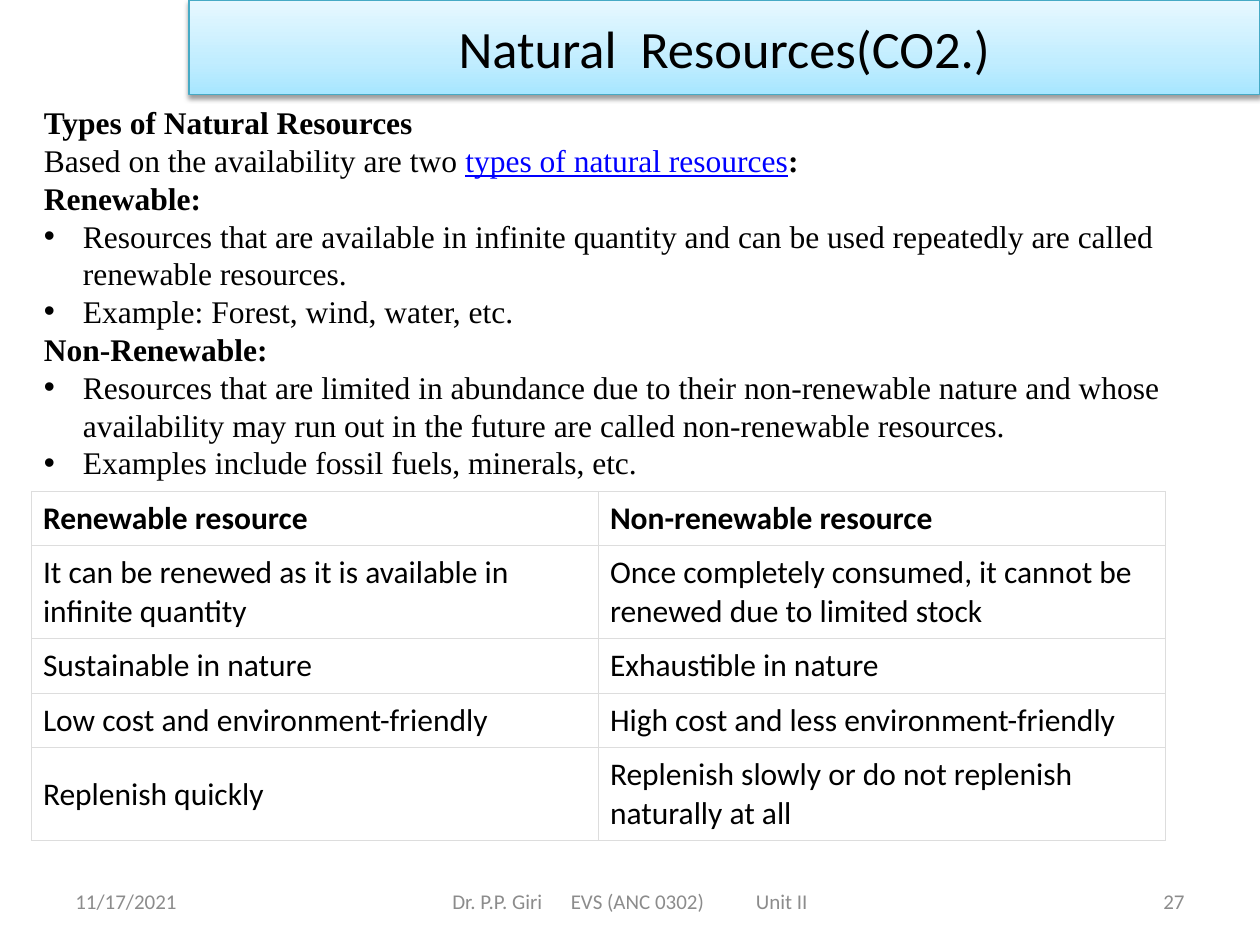
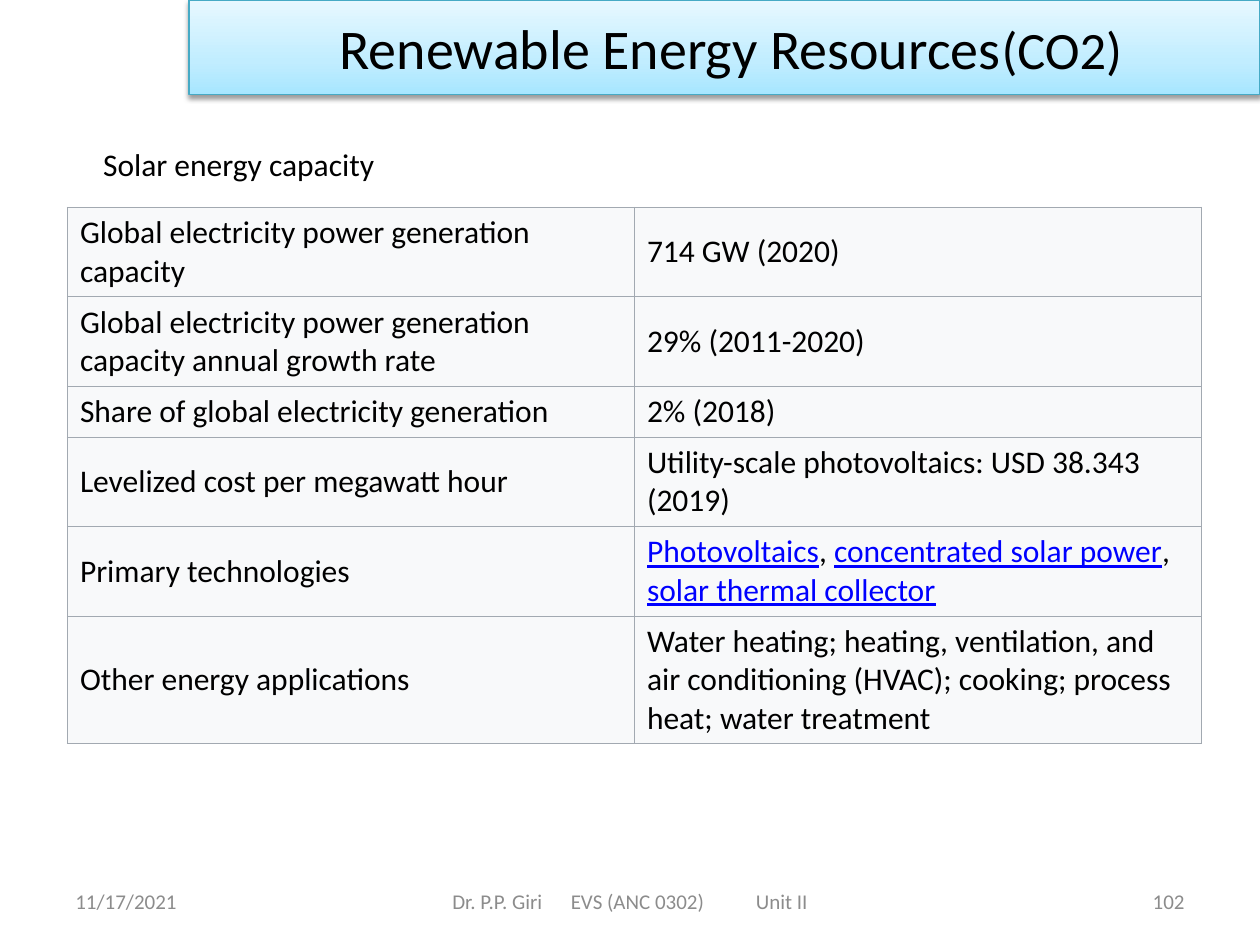
from copy import deepcopy

from lxml.etree import SubElement
from pptx import Presentation
from pptx.dml.color import RGBColor
from pptx.enum.shapes import MSO_SHAPE
from pptx.enum.text import MSO_ANCHOR, PP_ALIGN
from pptx.oxml.ns import qn
from pptx.util import Inches, Pt

SLIDE_WIDTH, SLIDE_HEIGHT = Inches(10), Inches(7.5)
COLORS = {
    "text": "000000",
    "link": "0000FF",
    "footer": "8C8C8C",
    "band_edge": "46AAC5",
    "band_bottom": "A7E6FF",
    "band_middle": "C1EDFF",
    "band_top": "E7F8FF",
    "white": "FFFFFF",
    "light_rule": "DDDDDD",
    "pale": "F8F9FA",
    "grey_rule": "A2A9B1",
}
SANS, SERIF = "Calibri", "Times New Roman"
BODY_SIZE, FOOTER_SIZE = 18, 12
LINE_HEIGHT = 21.96  # points, one line of table text
BULLET_INDENT = Inches(0.31)
FOOTER_TOP, FOOTER_HEIGHT = 92.67, 5.33

TYPES_OF_RESOURCES = [
    (False, [("Types of Natural Resources", "bold")]),
    (False, [("Based on the availability are two ", "plain"),
             ("types of natural resources", "link"), (":", "bold")]),
    (False, [("Renewable:", "bold")]),
    (True, [("Resources that are available in infinite quantity and can be used "
             "repeatedly are called renewable resources.", "plain")]),
    (True, [("Example: Forest, wind, water, etc.", "plain")]),
    (False, [("Non-Renewable:", "bold")]),
    (True, [("Resources that are limited in abundance due to their non-renewable "
             "nature and whose availability may run out in the future are called "
             "non-renewable resources.", "plain")]),
    (True, [("Examples include fossil fuels, minerals, etc.", "plain")]),
]

# Each row: number of text lines, left cell, right cell
RESOURCE_COMPARISON = [
    (1, [("Renewable resource", "bold")], [("Non-renewable resource", "bold")]),
    (2, "It can be renewed as it is available in infinite quantity",
     "Once completely consumed, it cannot be renewed due to limited stock"),
    (1, "Sustainable in nature", "Exhaustible in nature"),
    (1, "Low cost and environment-friendly", "High cost and less environment-friendly"),
    (2, "Replenish quickly", "Replenish slowly or do not replenish naturally at all"),
]

# The commas between technologies are followed by no-break spaces
SOLAR_CAPACITY = [
    (2, "Global electricity power generation capacity", "714 GW (2020)"),
    (2, "Global electricity power generation capacity annual growth rate",
     "29% (2011-2020)"),
    (1, "Share of global electricity generation", "2% (2018)"),
    (2, "Levelized cost per megawatt hour",
     "Utility-scale photovoltaics: USD 38.343 (2019)"),
    (2, "Primary technologies",
     [("Photovoltaics", "link"), (", ", "plain"),
      ("concentrated solar power", "link"), (", ", "plain"),
      ("solar thermal collector", "link")]),
    (3, "Other energy applications",
     "Water heating; heating, ventilation, and air conditioning (HVAC); cooking; "
     "process heat; water treatment"),
]


def rgb(name):
    return RGBColor.from_string(COLORS[name])


def area(left, top, width, height):
    """Turn percentages of the slide into lengths."""
    return (int(SLIDE_WIDTH * left / 100), int(SLIDE_HEIGHT * top / 100),
            int(SLIDE_WIDTH * width / 100), int(SLIDE_HEIGHT * height / 100))


def write(paragraph, content, size=BODY_SIZE, face=SANS, color="text"):
    """Fill a paragraph from a string or from (words, style) pairs."""
    pieces = [(content, "plain")] if isinstance(content, str) else content
    for words, style in pieces:
        run = paragraph.add_run()
        run.text = words
        run.font.name, run.font.size = face, Pt(size)
        run.font.bold = style == "bold"
        run.font.underline = style == "link"
        run.font.color.rgb = rgb("link" if style == "link" else color)


def add_text_frame(slide, place, anchor=MSO_ANCHOR.TOP):
    frame = slide.shapes.add_textbox(*area(*place)).text_frame
    frame.word_wrap = True
    frame.vertical_anchor = anchor
    return frame


def add_bullet(paragraph):
    properties = paragraph._p.get_or_add_pPr()
    properties.set("marL", str(BULLET_INDENT))
    properties.set("indent", str(-BULLET_INDENT))
    SubElement(properties, qn("a:buFont"), typeface="Arial")
    SubElement(properties, qn("a:buChar"), char="•")


def add_title_band(slide, title_parts):
    """Draw the gradient band; title_parts are (words, size) pairs."""
    band = slide.shapes.add_shape(MSO_SHAPE.RECTANGLE, *area(15, 0, 85, 10))
    band.line.color.rgb = rgb("band_edge")
    band.line.width = Pt(0.75)

    band.fill.gradient()
    band.fill.gradient_angle = 90
    stop_list = band._element.spPr.find(".//" + qn("a:gsLst"))
    stop_list.append(deepcopy(stop_list[0]))
    shades = (("band_bottom", 0), ("band_middle", 0.35), ("band_top", 1))
    for stop, (shade, position) in zip(band.fill.gradient_stops, shades):
        stop.color.rgb = rgb(shade)
        stop.position = position

    band.shadow.inherit = False
    effects = band._element.spPr.find(qn("a:effectLst"))
    shadow = SubElement(effects, qn("a:outerShdw"), blurRad=str(Pt(3.1)),
                        dist=str(Pt(1.6)), dir="5400000", rotWithShape="0")
    shadow_color = SubElement(shadow, qn("a:srgbClr"), val=COLORS["text"])
    SubElement(shadow_color, qn("a:alpha"), val="38000")

    band.text_frame.vertical_anchor = MSO_ANCHOR.MIDDLE
    heading = band.text_frame.paragraphs[0]
    heading.alignment = PP_ALIGN.CENTER
    for words, size in title_parts:
        write(heading, words, size)


def add_footer(slide, number):
    for left, label, alignment in ((5, "11/17/2021", PP_ALIGN.LEFT),
                                   (71.7, number, PP_ALIGN.RIGHT)):
        frame = add_text_frame(slide, (left, FOOTER_TOP, 23.3, FOOTER_HEIGHT),
                               MSO_ANCHOR.MIDDLE)
        frame.paragraphs[0].alignment = alignment
        write(frame.paragraphs[0], label, FOOTER_SIZE, color="footer")

    course = add_text_frame(slide, (34.2, FOOTER_TOP, 31.7, FOOTER_HEIGHT),
                            MSO_ANCHOR.MIDDLE)
    course.margin_left = Inches(0.17)
    line = course.paragraphs[0]
    tabs = SubElement(line._p.get_or_add_pPr(), qn("a:tabLst"))
    for stop in (0.94, 2.41):
        SubElement(tabs, qn("a:tab"), pos=str(Inches(stop)), algn="l")
    write(line, "Dr. P.P. Giri\tEVS (ANC 0302)\tUnit II", FOOTER_SIZE, color="footer")


def add_borders(cell, color):
    properties = cell._tc.get_or_add_tcPr()
    for side in ("lnL", "lnR", "lnT", "lnB"):
        edge = SubElement(properties, qn("a:" + side), w=str(Pt(0.6)))
        fill = SubElement(edge, qn("a:solidFill"))
        SubElement(fill, qn("a:srgbClr"), val=COLORS[color])


def add_two_column_table(slide, rows, left, top, fill, rule, side_margin, end_margin):
    """Add a table whose row heights follow the line counts; margins in points."""
    heights = [Pt(2 * end_margin + lines * LINE_HEIGHT) for lines, *_ in rows]
    x, y, width, _ = area(left, top, 90, 0)
    table = slide.shapes.add_table(len(rows), 2, x, y, width, sum(heights)).table
    table.first_row = table.horz_banding = False
    for row, height, (_, *contents) in zip(table.rows, heights, rows):
        row.height = height
        for cell, content in zip(row.cells, contents):
            add_borders(cell, rule)
            cell.fill.solid()
            cell.fill.fore_color.rgb = rgb(fill)
            cell.vertical_anchor = MSO_ANCHOR.MIDDLE
            cell.margin_left = cell.margin_right = Pt(side_margin)
            cell.margin_top = cell.margin_bottom = Pt(end_margin)
            write(cell.text_frame.paragraphs[0], content)


def add_resource_types(slide):
    frame = add_text_frame(slide, (2.5, 10.27, 95, 41.73))
    for index, (bulleted, pieces) in enumerate(TYPES_OF_RESOURCES):
        paragraph = frame.add_paragraph() if index else frame.paragraphs[0]
        if bulleted:
            add_bullet(paragraph)
        write(paragraph, pieces, face=SERIF)


def new_slide(deck, title_parts, number):
    slide = deck.slides.add_slide(deck.slide_layouts[6])
    add_title_band(slide, title_parts)
    add_footer(slide, number)
    return slide


def main():
    deck = Presentation()
    deck.slide_width, deck.slide_height = SLIDE_WIDTH, SLIDE_HEIGHT

    resources = new_slide(deck, [("Natural  Resources(CO2.)", 30)], "27")
    add_resource_types(resources)
    add_two_column_table(resources, RESOURCE_COMPARISON, 2.5, 52,
                         "white", "light_rule", 6.6, 4.6)

    solar = new_slide(deck, [(" Renewable Energy Resources", 32), ("(CO2)", 30)], "102")
    caption = add_text_frame(solar, (7.2, 14.67, 50.3, 5.33))
    write(caption.paragraphs[0], "Solar energy capacity")
    add_two_column_table(solar, SOLAR_CAPACITY, 5.35, 21.93,
                         "pale", "grey_rule", 7.2, 3.6)

    deck.save("out.pptx")


if __name__ == "__main__":
    main()
